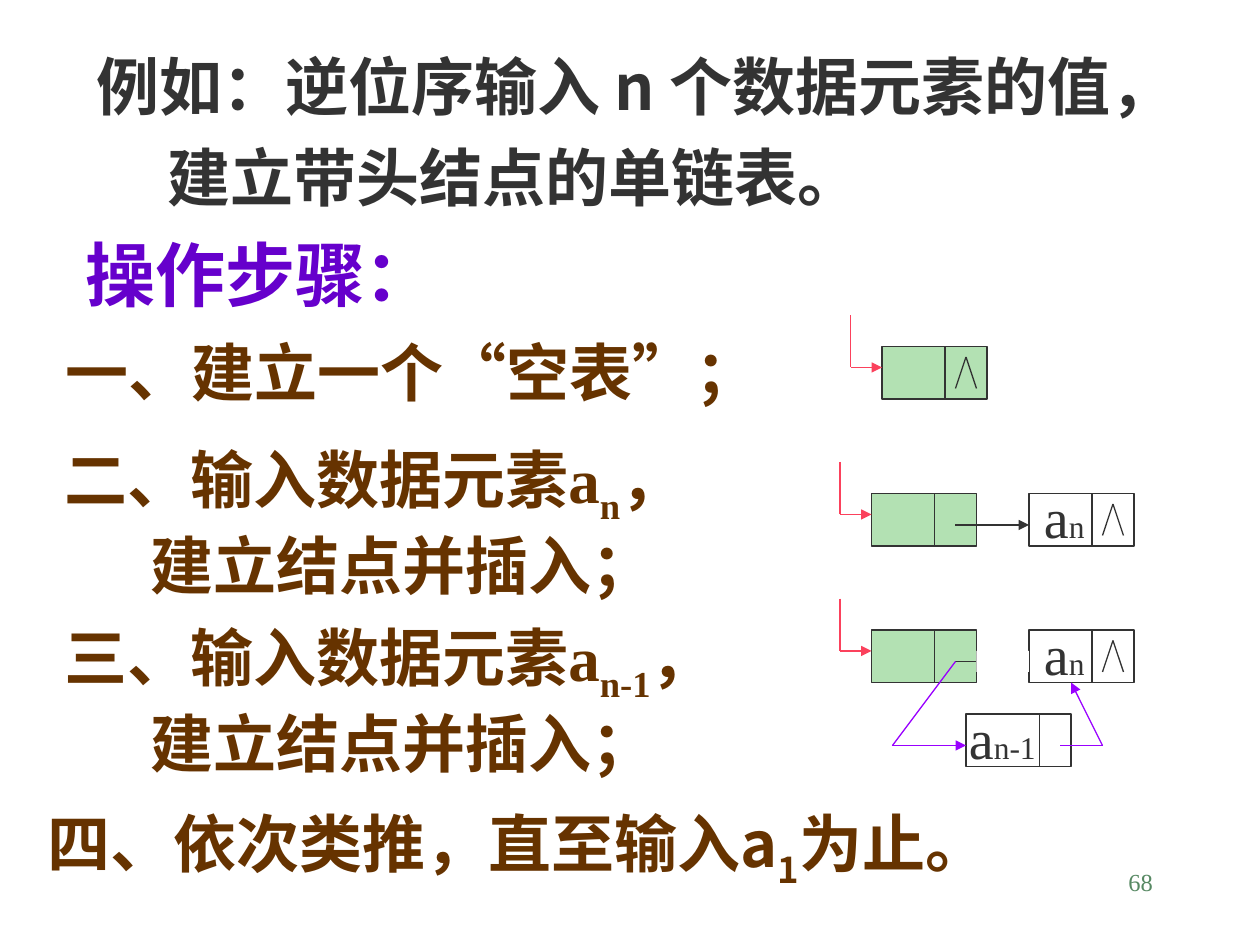
"""Build the slide on creating a linked list by inserting elements in reverse order."""
from lxml.etree import SubElement
from pptx import Presentation
from pptx.dml.color import RGBColor
from pptx.enum.shapes import MSO_CONNECTOR, MSO_SHAPE
from pptx.enum.text import MSO_AUTO_SIZE, PP_ALIGN
from pptx.oxml.ns import qn
from pptx.util import Cm, Pt

COLORS = {"ink": "333333", "heading": "6600CC", "step": "663300", "number": "578963",
          "head": "B3E1B3", "pointer": "FB415C", "insert": "9900FF", "white": "FFFFFF"}
CJK, SERIF = "Noto Sans CJK SC", "Times New Roman"
UNIT = 2.54 / 12
NODE_W, NODE_H, DATA_W, WIDE_DATA_W = 10, 5, 6, 7

TITLE = ["例如：逆位序输入 n 个数据元素的值，", "建立带头结点的单链表。"]
HEADING = "操作步骤："
STEP_1 = "一、建立一个“空表”；"
INSERT_STEPS = [(8.76, "二、输入数据元素", "n"), (12.34, "三、输入数据元素", "n-1")]
INSERT_LINE = "建立结点并插入；"
LAST_STEP = ["四、依次类推，直至输入a", "1", "为止。"]
HEADS = [(84, 33), (83, 47), (83, 60)]
LAST_NODES = [(98, 47), (98, 60)]
NEW_NODE = (92, 68)
INSERT_ROUTES = [[(101, 71), (105, 71), (102, 65)], [(91, 63), (85, 71), (92, 71)]]


def rgb(name):
    return RGBColor.from_string(COLORS[name])


def set_font(font, size, face, color, bold=False):
    font.size, font.name, font.bold = Pt(size), face, bold
    font.color.rgb = rgb(color)


def add_text(box, paragraphs, size, face, color, bold=True, wrap=False, indent=0, spacing=None):
    """Each paragraph is a list of (text, overrides) runs; later paragraphs are indented."""
    tb = slide.shapes.add_textbox(*map(Cm, box))
    tf = tb.text_frame
    tf.word_wrap, tf.auto_size = wrap, MSO_AUTO_SIZE.SHAPE_TO_FIT_TEXT
    for i, runs in enumerate(paragraphs):
        p = tf.add_paragraph() if i else tf.paragraphs[0]
        set_font(p.font, size, face, color, bold)
        p.line_spacing = spacing
        if i:
            p._p.get_or_add_pPr().set("marL", str(Cm(indent)))
        for text, style in runs:
            r = p.add_run()
            r.text = text
            set_font(r.font, style.get("size", size), style.get("face", face), color, bold)
            rPr = r._r.get_or_add_rPr()
            SubElement(rPr, qn("a:ea")).set("typeface", CJK)
            if "base" in style:
                rPr.set("baseline", str(style["base"]))
    return tf


def add_line(start, end, color="ink", arrow=False):
    c = slide.shapes.add_connector(MSO_CONNECTOR.STRAIGHT, *(Cm(v * UNIT) for v in start + end))
    c.line.color.rgb, c.line.width = rgb(color), Pt(0.75)
    spPr = c._element.spPr
    if arrow:
        SubElement(spPr.get_or_add_ln(), qn("a:tailEnd")).set("type", "triangle")
    SubElement(spPr, qn("a:effectLst"))


def add_route(points, color):
    for i in range(len(points) - 1):
        add_line(points[i], points[i + 1], color, arrow=i == len(points) - 2)


def add_rect(x, y, w, h, fill=None, line=None):
    sp = slide.shapes.add_shape(MSO_SHAPE.RECTANGLE, *(Cm(v * UNIT) for v in (x, y, w, h)))
    sp.shadow.inherit = False
    if fill:
        sp.fill.solid()
        sp.fill.fore_color.rgb = rgb(fill)
    else:
        sp.fill.background()
    if line:
        sp.line.color.rgb, sp.line.width = rgb(line), Pt(0.75)
    else:
        sp.line.fill.background()


def add_node(x, y, fill=None, data_w=DATA_W):
    add_rect(x, y, NODE_W, NODE_H, fill, "ink")
    add_line((x + data_w, y), (x + data_w, y + NODE_H))


def add_null(x, y):
    for foot in (7, 9):
        add_line((x + 8, y + 1), (x + foot, y + 4))


def add_label(x, y, index, width):
    box = (x * UNIT, (y - 1.6) * UNIT, width, 1.63)
    add_text(box, [[("a", {}), (index, {"size": 18})]], 32, SERIF, "ink", bold=False)


prs = Presentation()
prs.slide_width, prs.slide_height = Cm(25.4), Cm(19.05)
slide = prs.slides.add_slide(prs.slide_layouts[6])

number = add_text((18.21, 17.35, 5.28, 1.27), [[("68", {})]], 14, SERIF, "number", False, True)
number.paragraphs[0].alignment = PP_ALIGN.RIGHT
add_text((1.7, 0.53, 23.06, 3.91), [[(t, {})] for t in TITLE], 36, CJK, "ink",
         wrap=True, indent=1.42, spacing=1.2)
add_text((1.47, 4.55, 7.54, 1.96), [[(HEADING, {})]], 40, SERIF, "heading")
add_text((1.07, 6.6, 14.48, 1.78), [[(STEP_1, {})]], 36, SERIF, "step")
for top, text, index in INSERT_STEPS:
    first = [(text, {}), ("a", {"face": SERIF}), (index, {"face": SERIF, "base": -25000}),
             ("，", {"face": SERIF})]
    add_text((1.05, top, 15.04, 3.53), [first, [(INSERT_LINE, {"face": SERIF})]], 36, CJK, "step",
             wrap=True, indent=1.73)
before, index, after = LAST_STEP
add_text((0.71, 16.1, 20.09, 2.01), [[(before, {}), (index, {"base": -25000}), (after, {})]],
         36, CJK, "step")

for x, y in HEADS:
    add_node(x, y, "head")
    add_route([(x - 3, y - 3), (x - 3, y + 2), (x, y + 2)], "pointer")
add_null(*HEADS[0])
for x, y in LAST_NODES:
    add_node(x, y)
    add_null(x, y)
    add_line((x - 7, y + 3), (x, y + 3), arrow=True)
    add_label(x + 0.25, y, "n", 1.32)
add_node(*NEW_NODE, data_w=WIDE_DATA_W)
add_label(NEW_NODE[0] - 0.9, NEW_NODE[1], "n-1", 1.85)
for route in INSERT_ROUTES:
    add_route(route, "insert")
add_rect(93, 62, 5, 2, "white")

prs.save("out.pptx")
